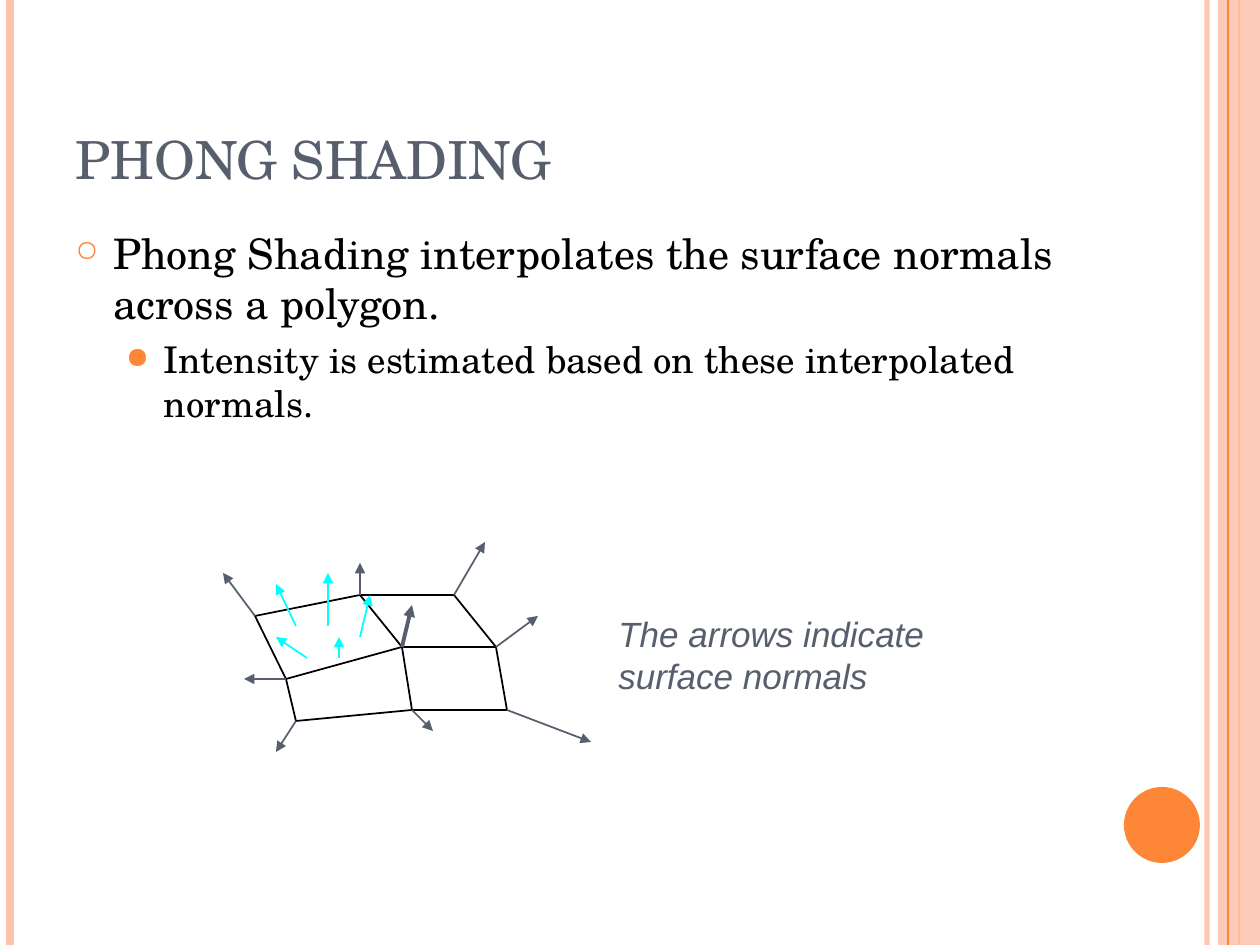
from dataclasses import dataclass
from typing import Optional

from lxml import etree
from pptx import Presentation
from pptx import util as u
from pptx.dml.color import RGBColor
from pptx.enum import shapes, text
from pptx.oxml.ns import qn

SCALE = 914400 / 126  # EMU in one pixel


@dataclass(frozen=True)
class Theme:
    accent: str = "FE8637"
    pale: str = "FEC3AE"
    slate: str = "575F6D"
    black: str = "000000"
    cyan: str = "00FFFF"
    serif: str = "TeX Gyre Schola"
    sans: str = "Arial"
    title: int = 30
    body: int = 24
    sub: int = 21
    caption: int = 20


@dataclass(frozen=True)
class Line:
    start: tuple[int, int]
    end: tuple[int, int]
    color: str
    width: float = 1
    arrow: bool = False
    alpha: Optional[int] = None


@dataclass(frozen=True)
class Bullet:
    text: str
    size: int
    level: int
    char: str
    bullet_size: int
    indent: float
    before: float


T = Theme()


def px(n: float) -> int:
    return round(n * SCALE)


def set_alpha(props, percent: int) -> None:
    color = props.find(".//" + qn("a:srgbClr"))
    etree.SubElement(color, qn("a:alpha"), val=str(percent * 1000))


def draw_line(s, line: Line) -> None:
    sp = s.shapes.add_connector(shapes.MSO_CONNECTOR.STRAIGHT,
                                *map(px, line.start + line.end))
    sp.line.color.rgb = RGBColor.from_string(line.color)
    sp.line.width = u.Pt(line.width)
    ln = sp.line._get_or_add_ln()
    if line.alpha:
        set_alpha(ln, line.alpha)
    if line.arrow:
        etree.SubElement(ln, qn("a:tailEnd"), type="triangle")
    etree.SubElement(sp._element.spPr, qn("a:effectLst"))


def draw_shape(s, kind, box: tuple[int, ...], color: str, alpha: Optional[int] = None) -> None:
    sp = s.shapes.add_shape(kind, *map(px, box))
    sp.shadow.inherit = False
    sp.fill.solid()
    sp.fill.fore_color.rgb = RGBColor.from_string(color)
    sp.line.fill.background()
    if alpha:
        set_alpha(sp._element.spPr, alpha)


def write(p, words: str, *, size: int, font: str = T.serif, color: str = T.slate,
          italic: bool = False, before: float = 0) -> None:
    p.alignment = text.PP_ALIGN.LEFT
    p.space_before = u.Pt(before)
    r = p.add_run()
    r.text = words
    r.font.size = u.Pt(size)
    r.font.name = font
    r.font.italic = italic
    r.font.color.rgb = RGBColor.from_string(color)


def add_bullet(p, b: Bullet) -> None:
    write(p, b.text, size=b.size, color=T.black, before=b.before)
    p.level = b.level
    pPr = p._p.get_or_add_pPr()
    pPr.set("marL", str(u.Inches(b.indent)))
    pPr.set("indent", str(u.Inches(-0.3)))
    color = etree.SubElement(pPr, qn("a:buClr"))
    etree.SubElement(color, qn("a:srgbClr"), val=T.accent)
    etree.SubElement(pPr, qn("a:buSzPct"), val=str(b.bullet_size * 1000))
    etree.SubElement(pPr, qn("a:buChar"), char=b.char)


def text_box(s, box: tuple[int, ...]):
    tf = s.shapes.add_textbox(*map(px, box)).text_frame
    tf.word_wrap = True
    return tf


prs = Presentation()
prs.slide_width, prs.slide_height = px(1260), px(945)
s = prs.slides.add_slide(prs.slide_layouts[5])

# Side bands and disc
def rule(x: int, color: str, width: float, alpha: Optional[int] = None) -> Line:
    return Line((x, 0), (x, 945), color, width, alpha=alpha)


for edge in (rule(1207, T.pale, 3, 93), rule(10, T.pale, 4.5), rule(1239, T.accent, 1.5)):
    draw_line(s, edge)
draw_shape(s, shapes.MSO_SHAPE.RECTANGLE, (1218, 0, 42, 945), T.pale, 87)
draw_line(s, rule(1228, T.accent, 0.75))
draw_shape(s, shapes.MSO_SHAPE.OVAL, (1124, 787, 76, 76), T.accent)

# Title
title = s.shapes.title
title.left, title.top, title.width, title.height = map(px, (63, 38, 1029, 158))
tf = title.text_frame
tf.auto_size = text.MSO_AUTO_SIZE.NONE
tf.vertical_anchor = text.MSO_ANCHOR.BOTTOM
write(tf.paragraphs[0], "PHONG SHADING", size=T.title)

# Body
tf = text_box(s, (63, 221, 1029, 672))
bullets = (
    Bullet("Phong Shading interpolates the surface normals across a polygon.",
           T.body, 0, "○", 70, 0.3, 6),
    Bullet("Intensity is estimated based on these interpolated normals.",
           T.sub, 1, "●", 80, 0.7, 5.2),
)
for i, b in enumerate(bullets):
    add_bullet(tf.add_paragraph() if i else tf.paragraphs[0], b)

# Mesh: vertices by row, then the edges that join them
V = dict(a=(255, 616), b=(360, 595), c=(454, 595),
         d=(286, 679), e=(402, 647), f=(496, 647),
         g=(296, 721), h=(412, 710), i=(507, 710))
for m, n in "ab ad de ef eb bc cf dg gh he hi if".split():
    draw_line(s, Line(V[m], V[n], T.black))

# Normals at the vertices
vertex_normals = dict(a=(223, 573), b=(360, 563), c=(485, 542), d=(244, 679), e=(412, 605),
                      f=(538, 616), g=(276, 752), h=(433, 731), i=(591, 742))
for name, tip in vertex_normals.items():
    draw_line(s, Line(V[name], tip, T.slate, 2.25 if name == "e" else 1, arrow=True))

# Interpolated normals inside the first face
face_normals = (((328, 626), (328, 573)), ((360, 637), (370, 595)), ((296, 626), (276, 584)),
                ((339, 658), (339, 637)), ((307, 658), (276, 637)))
for start, tip in face_normals:
    draw_line(s, Line(start, tip, T.cyan, arrow=True))

# Caption
tf = text_box(s, (606, 606, 350, 97))
for i, words in enumerate(("The arrows indicate", "surface normals")):
    write(tf.add_paragraph() if i else tf.paragraphs[0], words,
          size=T.caption, font=T.sans, italic=True)

prs.save("out.pptx")
